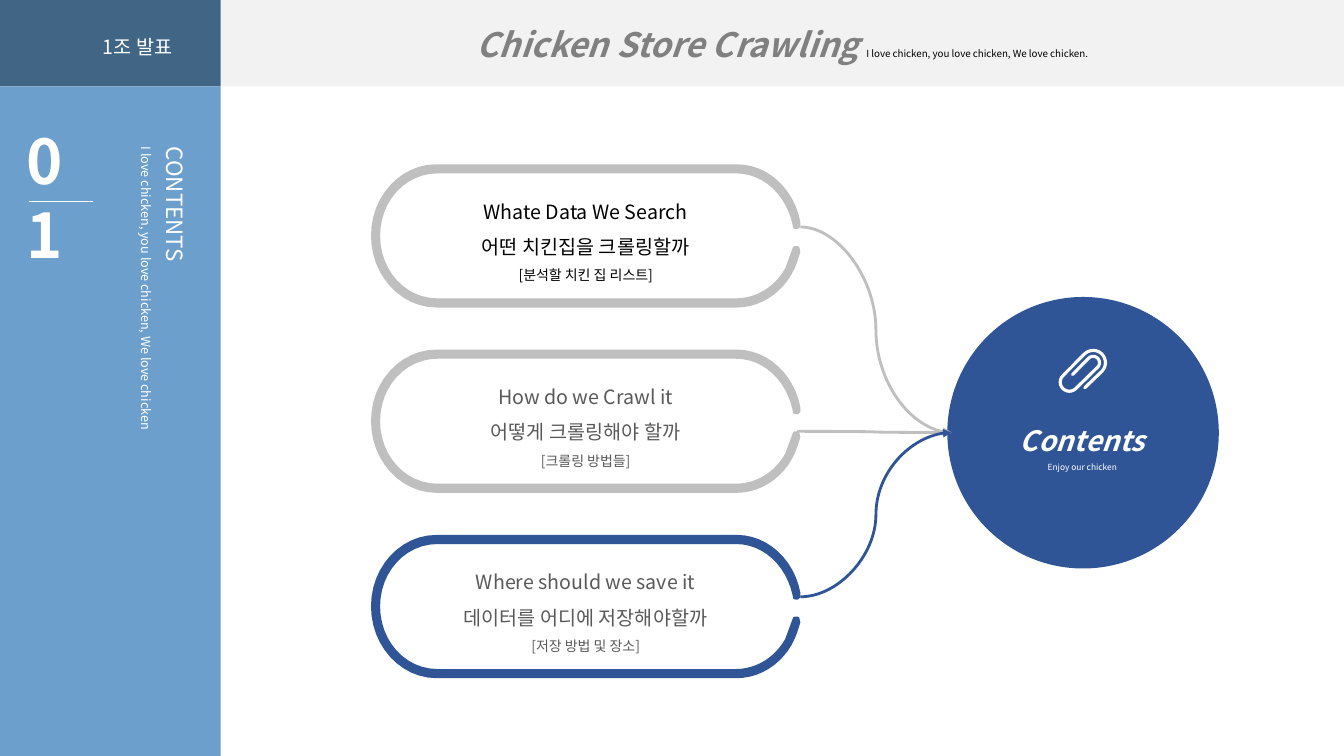
"""Build the contents slide of the chicken store crawling deck."""
from math import cos, radians, sin

from lxml import etree
from pptx import Presentation
from pptx.dml.color import RGBColor
from pptx.enum.shapes import MSO_CONNECTOR, MSO_SHAPE
from pptx.enum.text import MSO_ANCHOR, MSO_AUTO_SIZE, PP_ALIGN
from pptx.oxml.ns import qn
from pptx.util import Cm, Pt

RECTANGLE, OVAL = MSO_SHAPE.RECTANGLE, MSO_SHAPE.OVAL
STRAIGHT, CURVE = MSO_CONNECTOR.STRAIGHT, MSO_CONNECTOR.CURVE
LEFT, CENTER = PP_ALIGN.LEFT, PP_ALIGN.CENTER
TOP, MIDDLE = MSO_ANCHOR.TOP, MSO_ANCHOR.MIDDLE
NO_AUTOFIT = MSO_AUTO_SIZE.NONE

FONT = "Noto Sans CJK KR"
WHITE, BLACK, NAVY, SILVER, GRAPHITE = "FFFFFF", "000000", "2F5597", "BFBFBF", "595959"
PAGE_WIDTH, PAGE_HEIGHT = 33.87, 19.05
SIDEBAR_WIDTH, HEADER_HEIGHT = 5.56, 2.18
PILL_LEFT, PILL_TOP, PILL_STEP = 9.35, 4.14, 4.67
HUB = (23.98, 10.9)

PILL_START = (1.65, 0)
PILL_SEGMENTS = [
    (9.22, 0),
    (10.01, 0, 10.67, 0.64, 10.82, 1.45),
    (10.82, 1.57),
    (10.8, 1.6, 10.77, 1.63, 10.74, 1.63),
    (10.69, 1.63, 10.67, 1.63, 10.64, 1.6),
    (10.62, 1.5),
    (10.46, 0.79, 9.91, 0.23, 9.19, 0.23),
    (1.68, 0.23),
    (0.86, 0.23, 0.23, 0.94, 0.23, 1.8),
    (0.23, 2.67, 0.86, 3.38, 1.68, 3.38),
    (9.19, 3.38),
    (9.73, 3.38, 10.19, 3.07, 10.44, 2.62),
    (10.62, 2.13),
    (10.64, 2.08),
    (10.67, 2.06, 10.69, 2.06, 10.74, 2.06),
    (10.77, 2.06, 10.8, 2.08, 10.8, 2.11),
    (10.82, 2.21),
    (10.74, 2.46),
    (10.52, 3.12, 9.91, 3.61, 9.22, 3.61),
    (1.65, 3.61),
    (0.74, 3.61, 0, 2.79, 0, 1.8),
    (0, 0.81, 0.74, 0, 1.65, 0),
]

TOPICS = [
    (["Whate Data We Search", "어떤 치킨집을 크롤링할까", "[분석할 치킨 집 리스트]"],
     SILVER, BLACK, (20.17, 5.72)),
    (["How do we Crawl it", "어떻게 크롤링해야 할까", "[크롤링 방법들]"],
     SILVER, GRAPHITE, (20.09, 10.87)),
    (["Where should we save it", "데이터를 어디에 저장해야할까", "[저장 방법 및 장소]"],
     NAVY, GRAPHITE, (20.17, 15.04)),
]


def rgb(code):
    """Turn a hex string into a colour."""
    return RGBColor.from_string(code)


def set_font(font, size, color, bold=False, italic=False):
    """Format the font of a paragraph or a run."""
    font.size, font.bold, font.italic = Pt(size), bold, italic
    font.color.rgb = rgb(color)
    font.name = FONT
    etree.SubElement(font._rPr, qn("a:ea"), typeface=FONT)


def write(box, lines, align=CENTER, anchor=TOP, indent=0):
    """Write lines of (text, spacing, size, colour, emphasis) into a box."""
    frame = box.text_frame
    frame.word_wrap = True
    frame.vertical_anchor = anchor
    for index, (text, spacing, size, color, strong) in enumerate(lines):
        para = frame.add_paragraph() if index else frame.paragraphs[0]
        para.add_run().text = text
        para.alignment = align
        para.line_spacing = spacing
        if indent:
            para.level = 1
            properties = para._p.get_or_add_pPr()
            properties.set("marL", str(Cm(indent)))
            properties.set("indent", "0")
        set_font(para.font, size, color, "b" in strong, "i" in strong)


def add_text(page, left, top, width, height, lines, align=CENTER):
    """Add a text box."""
    box = page.shapes.add_textbox(Cm(left), Cm(top), Cm(width), Cm(height))
    write(box, lines, align)
    return box


def add_block(page, kind, left, top, width, height, color):
    """Add a plain filled shape."""
    block = page.shapes.add_shape(kind, Cm(left), Cm(top), Cm(width), Cm(height))
    block.shadow.inherit = False
    block.fill.solid()
    block.fill.fore_color.rgb = rgb(color)
    block.line.fill.background()
    return block


def add_line(page, kind, start, end, color, width, arrow=False):
    """Add a connector, with an arrowhead at its end if wanted."""
    line = page.shapes.add_connector(kind, *(Cm(value) for value in start + end))
    line.line.color.rgb = rgb(color)
    line.line.width = Pt(width)
    if arrow:
        etree.SubElement(line.line._get_or_add_ln(), qn("a:tailEnd"), type="triangle")
    etree.SubElement(line.element.spPr, qn("a:effectLst"))


def add_outline(page, points, close):
    """Add a freeform through points given in centimetres."""
    points = [(Cm(x), Cm(y)) for x, y in points]
    builder = page.shapes.build_freeform(*points[0], scale=1.0)
    builder.add_line_segments(points[1:], close=close)
    outline = builder.convert_to_shape()
    outline.shadow.inherit = False
    return outline


def pill_points(steps=12):
    """Return the open pill ring as points, with its curves sampled."""
    points = [PILL_START]
    for segment in PILL_SEGMENTS:
        if len(segment) == 2:
            points.append(segment)
            continue
        corners = [points[-1], segment[:2], segment[2:4], segment[4:]]
        for step in range(1, steps + 1):
            t = step / steps
            weights = ((1 - t) ** 3, 3 * t * (1 - t) ** 2, 3 * t * t * (1 - t), t ** 3)
            points.append(tuple(sum(weight * corner[axis] for weight, corner in zip(weights, corners))
                                for axis in (0, 1)))
    return points


def add_pill(page, top, color, text_color, texts):
    """Add one topic ring with its three lines."""
    pill = add_outline(page, [(PILL_LEFT + x, top + y) for x, y in pill_points()], True)
    pill.fill.solid()
    pill.fill.fore_color.rgb = rgb(color)
    pill.line.fill.background()
    write(pill, [(text, 1.5, size, text_color, "") for text, size in zip(texts, (14, 14, 10))],
          anchor=MIDDLE)


def add_paperclip(page):
    """Add the paperclip icon as a spiral of half turns."""
    points = [(27.34, 9.77)]
    for x, y, radius, first in ((27.55, 9.14, 0.31, 45), (26.95, 9.63, 0.23, -135), (27.55, 9.14, 0.16, 45)):
        for turn in range(0, 181, 15):
            angle = radians(first - turn)
            points.append((x + radius * cos(angle), y + radius * sin(angle)))
    points.append((27.03, 9.44))
    clip = add_outline(page, points, False)
    clip.fill.background()
    clip.line.color.rgb = rgb(WHITE)
    clip.line.width = Pt(2.25)
    clip.line._get_or_add_ln().set("cap", "rnd")


def add_header(page):
    """Format the title placeholder as the header band."""
    title = page.shapes.title
    title.left, title.top = Cm(SIDEBAR_WIDTH), Cm(0)
    title.width, title.height = Cm(PAGE_WIDTH - SIDEBAR_WIDTH), Cm(HEADER_HEIGHT)
    title.fill.solid()
    title.fill.fore_color.rgb = rgb("F2F2F2")
    frame = title.text_frame
    frame.auto_size, frame.vertical_anchor = NO_AUTOFIT, MIDDLE
    frame.margin_bottom = Cm(0.57)
    para = frame.paragraphs[0]
    para.alignment, para.line_spacing = CENTER, 1.5
    for text, size, color, strong in (("Chicken Store Crawling ", 24, "808080", True),
                                      ("I love chicken, you love chicken, We love chicken.", 7, BLACK, False)):
        span = para.add_run()
        span.text = text
        set_font(span.font, size, color, strong, strong)


def add_sidebar(page):
    """Add the left column with its vertical heading and number."""
    add_block(page, RECTANGLE, 0, 0, SIDEBAR_WIDTH, HEADER_HEIGHT, "416585")
    sidebar = add_block(page, RECTANGLE, 0, HEADER_HEIGHT, SIDEBAR_WIDTH, PAGE_HEIGHT - HEADER_HEIGHT, "6C9FCC")
    write(sidebar, [("CONTENTS", 2.0, 16, WHITE, ""),
                    ("I love chicken, you love chicken, We love chicken", 1.5, 9, WHITE, "")], LEFT, indent=1.27)
    sidebar.element.txBody.find(qn("a:bodyPr")).set("vert", "eaVert")
    add_text(page, 2.16, 0.76, 2.62, 0.86, [("1조 발표", 1.0, 14, WHITE, "")])
    number = add_text(page, 0.41, 2.97, 2.34, 2.13, [("01", 1.0, 44, WHITE, "b")], LEFT)
    number.text_frame.margin_right = Cm(0.5)
    add_line(page, STRAIGHT, (0.74, 5.08), (2.34, 5.08), WHITE, 0.5)


def main():
    """Build and save the deck."""
    deck = Presentation()
    deck.slide_width, deck.slide_height = Cm(PAGE_WIDTH), Cm(PAGE_HEIGHT)
    page = deck.slides.add_slide(deck.slide_layouts[5])
    add_header(page)
    add_sidebar(page)
    circle = add_block(page, OVAL, 23.98, 7.59, 6.63, 6.63, NAVY)
    circle.line.color.rgb = rgb(NAVY)
    circle.line.width = Pt(6)
    for index, (texts, color, text_color, start) in enumerate(TOPICS):
        add_pill(page, PILL_TOP + index * PILL_STEP, color, text_color, texts)
        add_line(page, CURVE, start, HUB, color, 2, arrow=True)
    add_paperclip(page)
    add_text(page, 24.1, 10.13, 6.35, 1.93, [("Contents", 1.5, 20, WHITE, "bi"),
                                             ("Enjoy our chicken", 1.5, 6, WHITE, "")])
    deck.save("out.pptx")


if __name__ == "__main__":
    main()
